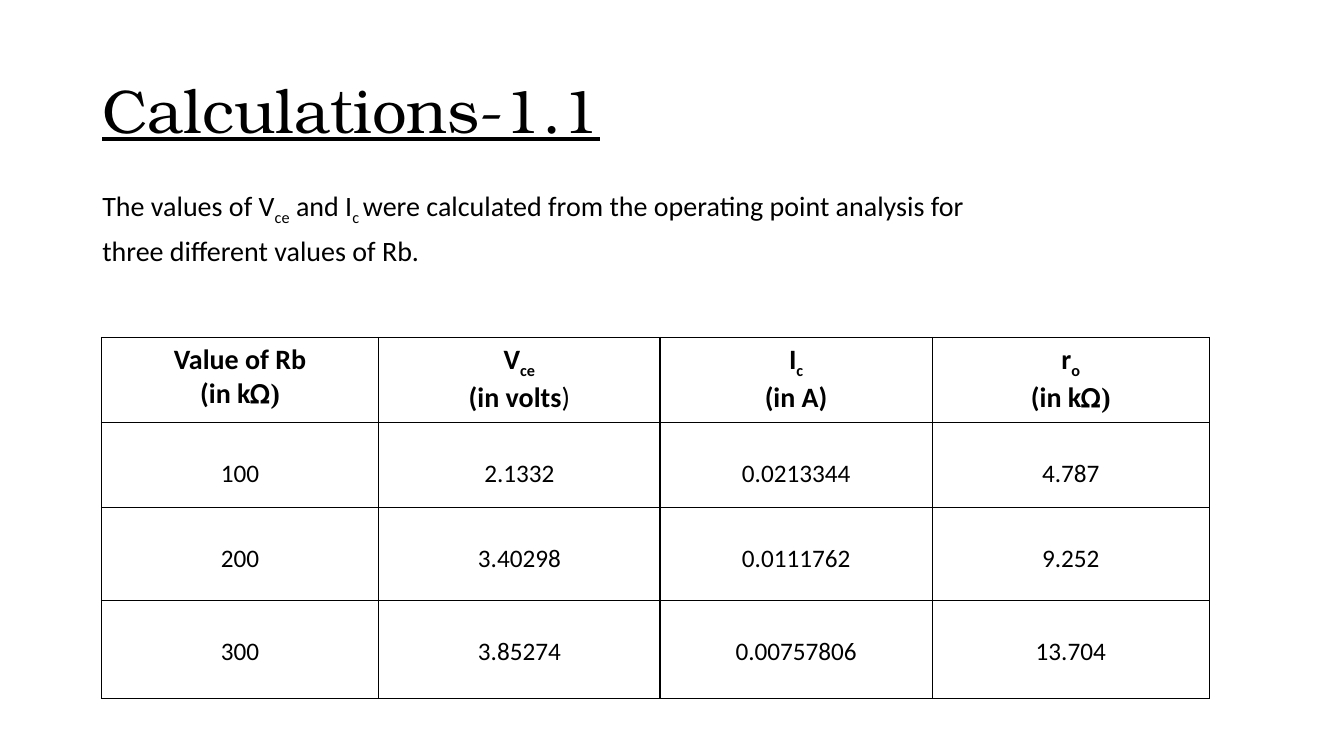
from pptx import Presentation
from pptx.dml.color import RGBColor
from pptx.enum.text import MSO_ANCHOR, PP_ALIGN
from pptx.oxml import parse_xml
from pptx.oxml.ns import nsdecls
from pptx.util import Pt

BLACK = "000000"
OMEGA = "\U0001D76E"
SUB, SERIF, LIGHT = "subscript", "serif", "light"


def color(value):
    return RGBColor.from_string(value)


class SlideBuilder:
    """Holds the style and the current slide."""
    heading_font = "TeX Gyre Bonum"
    body_font = "Calibri"
    symbol_font = "Times New Roman"

    def __init__(self, slide):
        self.slide = slide

    def add_lines(self, frame, lines, size, font=None, bold=False, underline=None,
                  align=PP_ALIGN.LEFT, spacing=1.0, before=0):
        """Each line is a list of (text, kind) runs."""
        for index, runs in enumerate(lines):
            paragraph = frame.add_paragraph() if index else frame.paragraphs[0]
            paragraph.alignment = align
            paragraph.line_spacing = spacing
            paragraph.space_before = Pt(before if index else 0)
            for text, kind in runs:
                run = paragraph.add_run()
                run.text = text
                run.font.name = self.symbol_font if kind == SERIF else font or self.body_font
                run.font.size = Pt(size)
                run.font.bold = bold and kind != LIGHT
                run.font.underline = underline
                run.font.color.rgb = color(BLACK)
                if kind == SUB:
                    run._r.get_or_add_rPr().set("baseline", "-25000")

    def text(self, left, top, width, height, lines, size, anchor=MSO_ANCHOR.TOP, **style):
        frame = self.slide.shapes.add_textbox(Pt(left), Pt(top), Pt(width), Pt(height)).text_frame
        frame.word_wrap = True
        frame.vertical_anchor = anchor
        self.add_lines(frame, lines, size, **style)

    def border(self, cell):
        properties = cell._tc.get_or_add_tcPr()
        for side in "LRTB":
            properties.append(parse_xml(
                f'<a:ln{side} {nsdecls("a")} w="12700"><a:solidFill>'
                f'<a:srgbClr val="{BLACK}"/></a:solidFill></a:ln{side}>'))
        cell.fill.background()

    def table(self, left, top, widths, heights, headers, rows):
        table = self.slide.shapes.add_table(
            len(heights), len(widths), Pt(left), Pt(top),
            Pt(sum(widths)), Pt(sum(heights))).table
        table.first_row = table.horz_banding = False
        for column, width in zip(table.columns, widths):
            column.width = Pt(width)
        for row, height in zip(table.rows, heights):
            row.height = Pt(height)
        values = [[[[(value, None)]] for value in row] for row in rows]
        for row_index, row in enumerate([headers] + values):
            for column_index, lines in enumerate(row):
                cell = table.cell(row_index, column_index)
                self.border(cell)
                if row_index:
                    cell.margin_top = Pt(25.6)
                self.add_lines(cell.text_frame, lines, 18 if row_index else 20,
                               bold=row_index == 0, align=PP_ALIGN.CENTER)


presentation = Presentation()
presentation.slide_width, presentation.slide_height = Pt(960), Pt(540)
builder = SlideBuilder(presentation.slides.add_slide(presentation.slide_layouts[6]))

# Title
builder.text(66, 28.8, 828, 104.4, [[("Calculations-1.1", None)]], 44,
             anchor=MSO_ANCHOR.MIDDLE, font=builder.heading_font,
             underline=True, spacing=0.9)

# Introduction
introduction = [
    [("The values of V", None), ("ce", SUB), (" and I", None), ("c ", SUB),
     ("were calculated from the operating point analysis for", None)],
    [("three different values of Rb.", None)],
]
builder.text(66, 131.4, 828, 72, introduction, 20, spacing=0.9, before=10)

# Table of operating point results
kilo_ohms = [("(in k", None), (OMEGA + ")", SERIF)]
headers = [
    [[("Value of Rb", None)], kilo_ohms],
    [[("V", None), ("ce", SUB)], [("(in volts", None), (")", LIGHT)]],
    [[("I", None), ("c", SUB)], [("(in A)", None)]],
    [[("r", None), ("o", SUB)], kilo_ohms],
]
results = [
    ["100", "2.1332", "0.0213344", "4.787"],
    ["200", "3.40298", "0.0111762", "9.252"],
    ["300", "3.85274", "0.00757806", "13.704"],
]
builder.table(72.5, 241, [198, 201, 194.4, 198], [60.8, 60.5, 66.8, 69.8], headers, results)

presentation.save("out.pptx")
